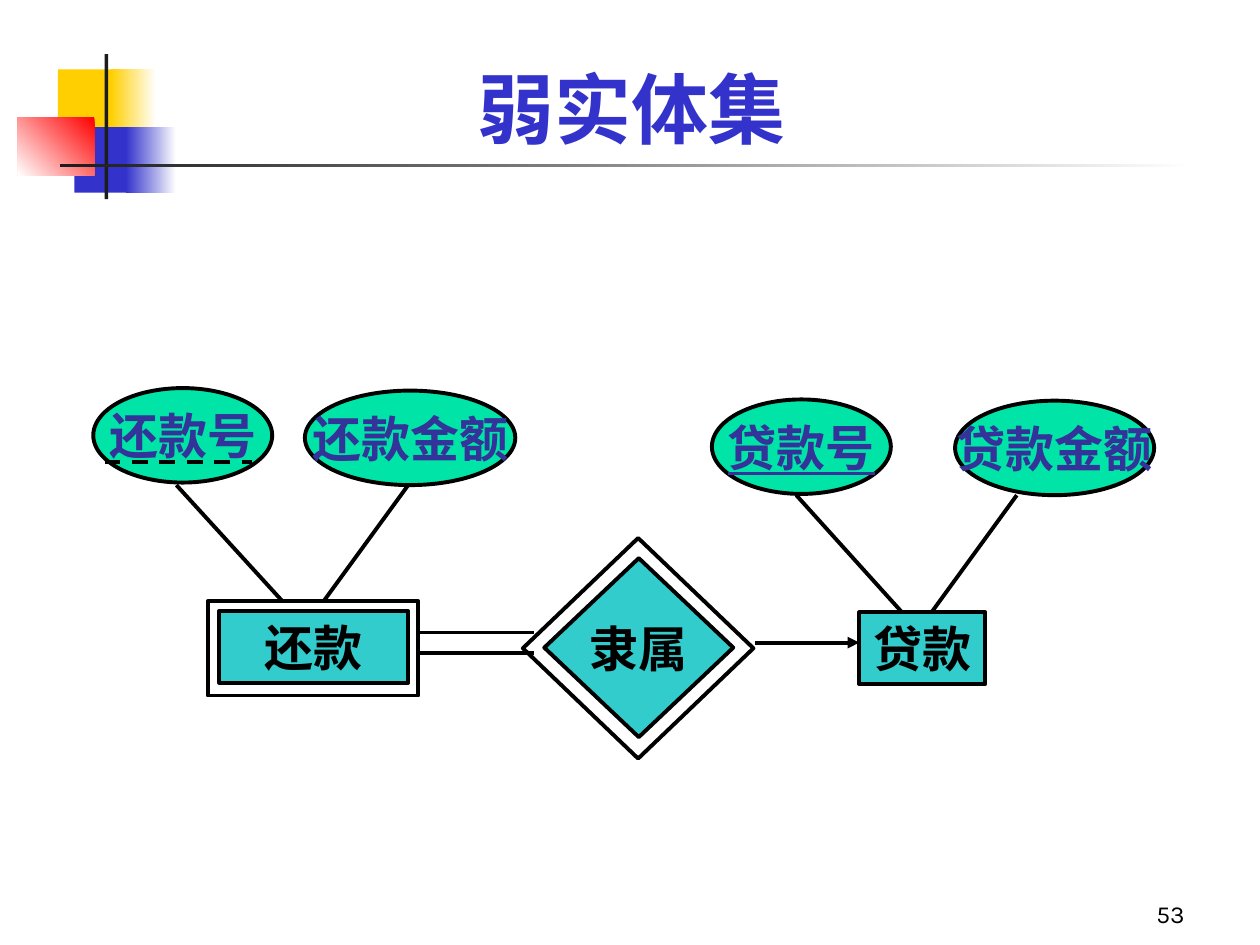
from lxml.etree import SubElement
from pptx import Presentation
from pptx.dml.color import RGBColor
from pptx.enum.dml import MSO_LINE
from pptx.enum.shapes import MSO_CONNECTOR, MSO_SHAPE as SHAPE
from pptx.enum.text import MSO_ANCHOR, MSO_AUTO_SIZE, PP_ALIGN
from pptx.oxml.ns import qn
from pptx.util import Inches, Pt

THEME = {
    "white": "FFFFFF", "black": "000000", "title": "3333CC",
    "entity": "33CCCC", "attribute": "00E4A8", "attribute_text": "333399",
    "yellow": "FFCF01", "blue": "3333CC", "red": "FF0000", "dark": "1C1C1C",
    "title_font": "Karla", "label_font": "Times New Roman",
    "title_size": 44, "label_size": 28, "number_size": 14, "line": 2.25,
}

TITLE = "弱实体集"
PAGE_NUMBER = "53"

# place, colour or (start, end, clockwise angle)
DECORATION = [
    ((0.46, 0.55, 0.48, 0.52), "yellow"),
    ((0.88, 0.55, 0.36, 0.52), ("white", "yellow", 180)),
    ((0.59, 1.01, 0.46, 0.52), "blue"),
    ((1, 1.01, 0.4, 0.52), ("white", "blue", 180)),
    ((0.14, 0.93, 0.61, 0.46), ("red", "white", 135)),
    ((0.83, 0.43, 0.03, 1.15), "dark"),
    ((0.48, 1.3, 9, 0.03), ("white", "dark", 180)),
]

# label, shape, place
ENTITIES = [
    ("还款", SHAPE.RECTANGLE, (1.74, 4.85, 1.5, 0.57)),
    ("贷款", SHAPE.RECTANGLE, (6.82, 4.86, 1, 0.57)),
    ("隶属", SHAPE.DIAMOND, (4.32, 4.43, 1.5, 1.42)),
]
WEAK_FRAMES = [
    (SHAPE.RECTANGLE, (1.65, 4.77, 1.67, 0.75)),
    (SHAPE.DIAMOND, (4.15, 4.27, 1.83, 1.75)),
]
# label, place, is primary key
ATTRIBUTES = [
    ("还款号", (0.74, 3.08, 1.42, 0.75), False),
    ("还款金额", (2.42, 3.1, 1.67, 0.75), False),
    ("贷款号", (5.65, 3.17, 1.42, 0.75), True),
    ("贷款金额", (7.58, 3.18, 1.58, 0.75), False),
]
ATTRIBUTE_LINKS = [
    (2.24, 4.77, 1.4, 3.85), (2.57, 4.77, 3.24, 3.85),
    (7.15, 4.85, 6.32, 3.93), (7.4, 4.85, 8.07, 3.93),
]
TOTAL_PARTICIPATION = [(3.32, y, 4.24, y) for y in (5.02, 5.18)]
ARROW = (5.99, 5.1, 6.82, 5.1)
PARTIAL_KEY = (0.83, 3.67, 2, 3.67)


def color(name):
    return RGBColor.from_string(THEME[name])


def add_span(para, text, font, size, fill, bold=True, underline=None):
    span = para.add_run()
    span.text = text
    span.font.name = THEME[font]
    span.font.size = Pt(THEME[size])
    span.font.bold = bold
    span.font.underline = underline
    span.font.color.rgb = color(fill)


def add_shape(page, kind, place, fill=None, outlined=True):
    shape = page.shapes.add_shape(kind, *map(Inches, place))
    shape.shadow.inherit = False
    if fill is None:
        shape.fill.background()
    elif isinstance(fill, tuple):
        start, end, angle = fill
        shape.fill.gradient()
        shape.fill.gradient_angle = 360 - angle  # counter-clockwise here
        for stop, name, position in zip(shape.fill.gradient_stops, (start, end), (0, 1)):
            stop.color.rgb = color(name)
            stop.position = position
    else:
        shape.fill.solid()
        shape.fill.fore_color.rgb = color(fill)
    if outlined:
        shape.line.color.rgb = color("black")
        shape.line.width = Pt(THEME["line"])
    else:
        shape.line.fill.background()
    return shape


def add_label(shape, text, fill, underline=None):
    frame = shape.text_frame
    frame.word_wrap = False
    frame.vertical_anchor = MSO_ANCHOR.MIDDLE
    para = frame.paragraphs[0]
    para.alignment = PP_ALIGN.CENTER
    add_span(para, text, "label_font", "label_size", fill, underline=underline)


def add_line(page, ends):
    line = page.shapes.add_connector(MSO_CONNECTOR.STRAIGHT, *map(Inches, ends))
    line.line.color.rgb = color("black")
    line.line.width = Pt(THEME["line"])
    SubElement(line._element.spPr, qn("a:effectLst"))
    return line


def add_heading(page):
    title = page.shapes.title
    title.left, title.top, title.width, title.height = map(Inches, (0.75, 0.25, 8.52, 1.02))
    title.text_frame.auto_size = MSO_AUTO_SIZE.NONE
    title.text_frame.vertical_anchor = MSO_ANCHOR.BOTTOM
    para = title.text_frame.paragraphs[0]
    para.alignment = PP_ALIGN.CENTER
    add_span(para, TITLE, "title_font", "title_size", "title")


def add_page_number(page):
    box = page.shapes.add_textbox(*map(Inches, (7.42, 6.92, 2.08, 0.5)))
    box.text_frame.word_wrap = True
    box.text_frame.vertical_anchor = MSO_ANCHOR.BOTTOM
    para = box.text_frame.paragraphs[0]
    para.alignment = PP_ALIGN.RIGHT
    add_span(para, PAGE_NUMBER, "title_font", "number_size", "black", bold=False)


def add_diagram(page):
    for label, kind, place in ENTITIES:
        add_label(add_shape(page, kind, place, "entity"), label, "black")
    for kind, place in WEAK_FRAMES:
        add_shape(page, kind, place)
    for label, place, is_key in ATTRIBUTES:
        oval = add_shape(page, SHAPE.OVAL, place, "attribute")
        add_label(oval, label, "attribute_text", underline=is_key)
    for ends in ATTRIBUTE_LINKS + TOTAL_PARTICIPATION:
        add_line(page, ends)
    arrow = add_line(page, ARROW)
    SubElement(arrow.line._get_or_add_ln(), qn("a:tailEnd"), type="triangle")
    add_line(page, PARTIAL_KEY).line.dash_style = MSO_LINE.DASH


def main():
    deck = Presentation()
    deck.slide_width, deck.slide_height = Inches(10), Inches(7.5)
    page = deck.slides.add_slide(deck.slide_layouts[5])
    for place, fill in DECORATION:
        add_shape(page, SHAPE.RECTANGLE, place, fill, outlined=False)
    add_heading(page)
    add_page_number(page)
    add_diagram(page)
    deck.save("out.pptx")


if __name__ == "__main__":
    main()
